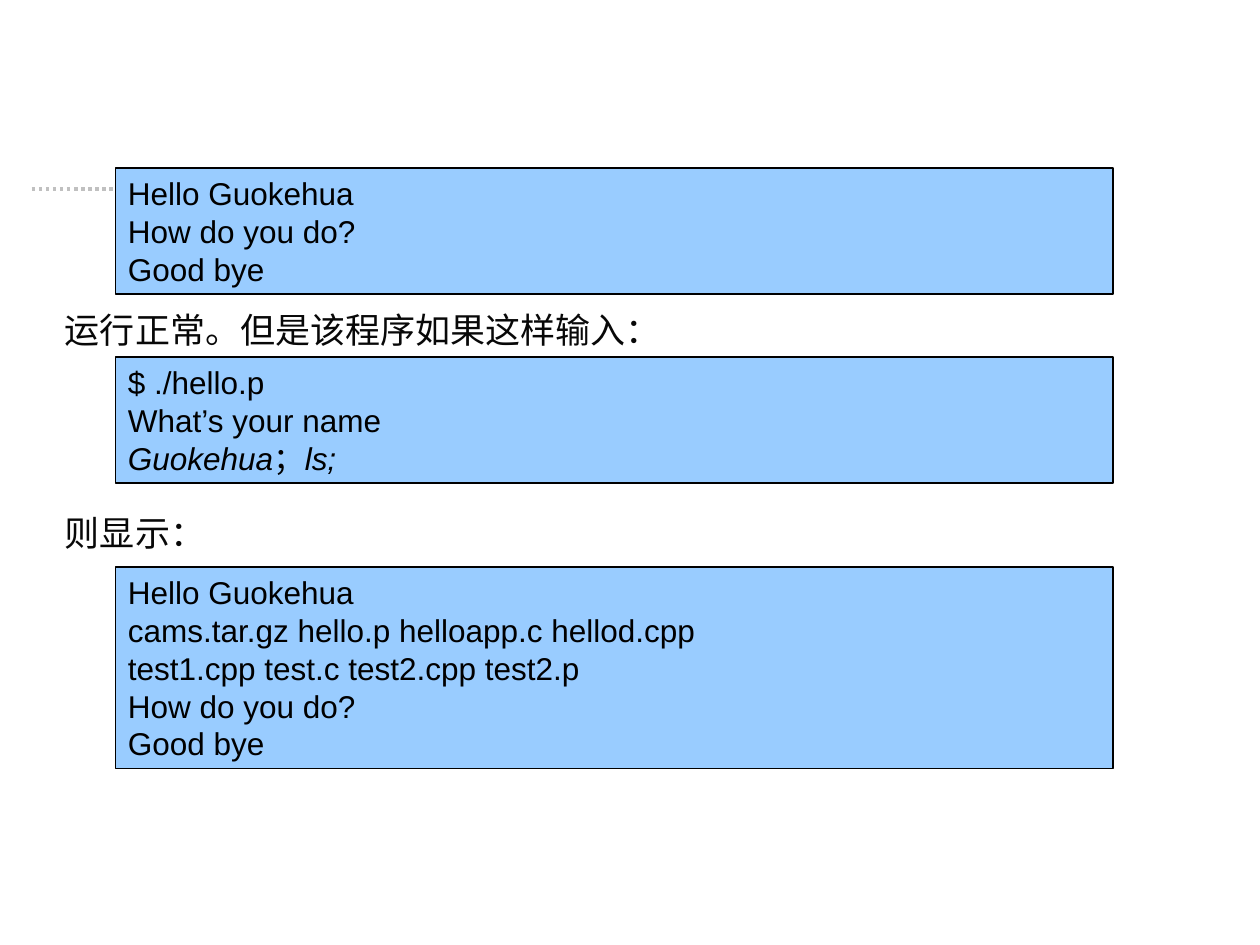
from dataclasses import dataclass

from lxml.etree import SubElement
from pptx import Presentation
from pptx.dml.color import RGBColor
from pptx.enum.dml import MSO_LINE_DASH_STYLE as Dash
from pptx.enum.shapes import MSO_CONNECTOR as Connector, MSO_SHAPE as Preset
from pptx.enum.text import MSO_ANCHOR as Anchor, PP_ALIGN as Align
from pptx.oxml.ns import qn
from pptx.util import Cm, Pt


@dataclass(frozen=True)
class Theme:
    font: str = "Arial"
    code_size: int = 18
    caption_size: int = 20
    code_color: str = "000000"
    caption_color: str = "080808"
    panel_fill: str = "99CCFF"
    border: str = "000000"
    rule: str = "C0C0C0"


THEME = Theme()
PANEL_LEFT, PANEL_WIDTH = Cm(2.33), Cm(20.11)
CAPTION_LEFT, CAPTION_WIDTH, CAPTION_HEIGHT = Cm(1.06), Cm(23.28), Cm(1.2)

PANELS = [
    (3.39, 2.54, [["Hello Guokehua"], ["How do you do?"], ["Good bye"]]),
    (7.2, 2.54, [
        ["$ ./hello.p"],
        ["What’s your name"],
        [("Guokehua", True), "；", ("ls;", True)],
    ]),
    (11.43, 4.06, [
        ["Hello Guokehua"],
        ["cams.tar.gz hello.p helloapp.c hellod.cpp"],
        ["test1.cpp test.c test2.cpp test2.p"],
        ["How do you do?"],
        ["Good bye"],
    ]),
]
CAPTIONS = [(6.05, "运行正常。但是该程序如果这样输入："), (10.14, "则显示：")]


def add_run(paragraph, text, size, color, italic=False):
    run = paragraph.add_run()
    run.text = text
    run.font.name = THEME.font
    run.font.size = Pt(size)
    run.font.italic = italic
    run.font.color.rgb = RGBColor.from_string(color)


def add_rule(slide):
    rule = slide.shapes.add_connector(
        Connector.STRAIGHT, Cm(0.64), Cm(3.81), Cm(13.54), Cm(3.81))
    rule.line.color.rgb = RGBColor.from_string(THEME.rule)
    rule.line.width = Pt(2)
    rule.line.dash_style = Dash.ROUND_DOT
    SubElement(rule.line._get_or_add_ln(), qn("a:tailEnd"), type="oval")
    SubElement(rule._element.spPr, qn("a:effectLst"))


def add_caption(slide, top, text):
    box = slide.shapes.add_textbox(
        CAPTION_LEFT, Cm(top), CAPTION_WIDTH, CAPTION_HEIGHT)
    frame = box.text_frame
    frame.word_wrap = True
    frame.vertical_anchor = Anchor.MIDDLE
    add_run(frame.paragraphs[0], text, THEME.caption_size, THEME.caption_color)


def add_panel(slide, top, height, lines):
    panel = slide.shapes.add_shape(
        Preset.RECTANGLE, PANEL_LEFT, Cm(top), PANEL_WIDTH, Cm(height))
    panel.shadow.inherit = False
    panel.fill.solid()
    panel.fill.fore_color.rgb = RGBColor.from_string(THEME.panel_fill)
    panel.line.color.rgb = RGBColor.from_string(THEME.border)
    panel.line.width = Pt(0.75)
    frame = panel.text_frame
    frame.word_wrap = True
    frame.vertical_anchor = Anchor.TOP
    for index, pieces in enumerate(lines):
        paragraph = frame.add_paragraph() if index else frame.paragraphs[0]
        paragraph.alignment = Align.LEFT
        for piece in pieces:
            text, italic = (piece, False) if isinstance(piece, str) else piece
            add_run(paragraph, text, THEME.code_size, THEME.code_color, italic)


def main():
    presentation = Presentation()
    presentation.slide_width, presentation.slide_height = Cm(25.4), Cm(19.05)
    slide = presentation.slides.add_slide(presentation.slide_layouts[6])
    add_rule(slide)
    for top, text in CAPTIONS:
        add_caption(slide, top, text)
    for top, height, lines in PANELS:
        add_panel(slide, top, height, lines)
    presentation.save("out.pptx")


if __name__ == "__main__":
    main()
